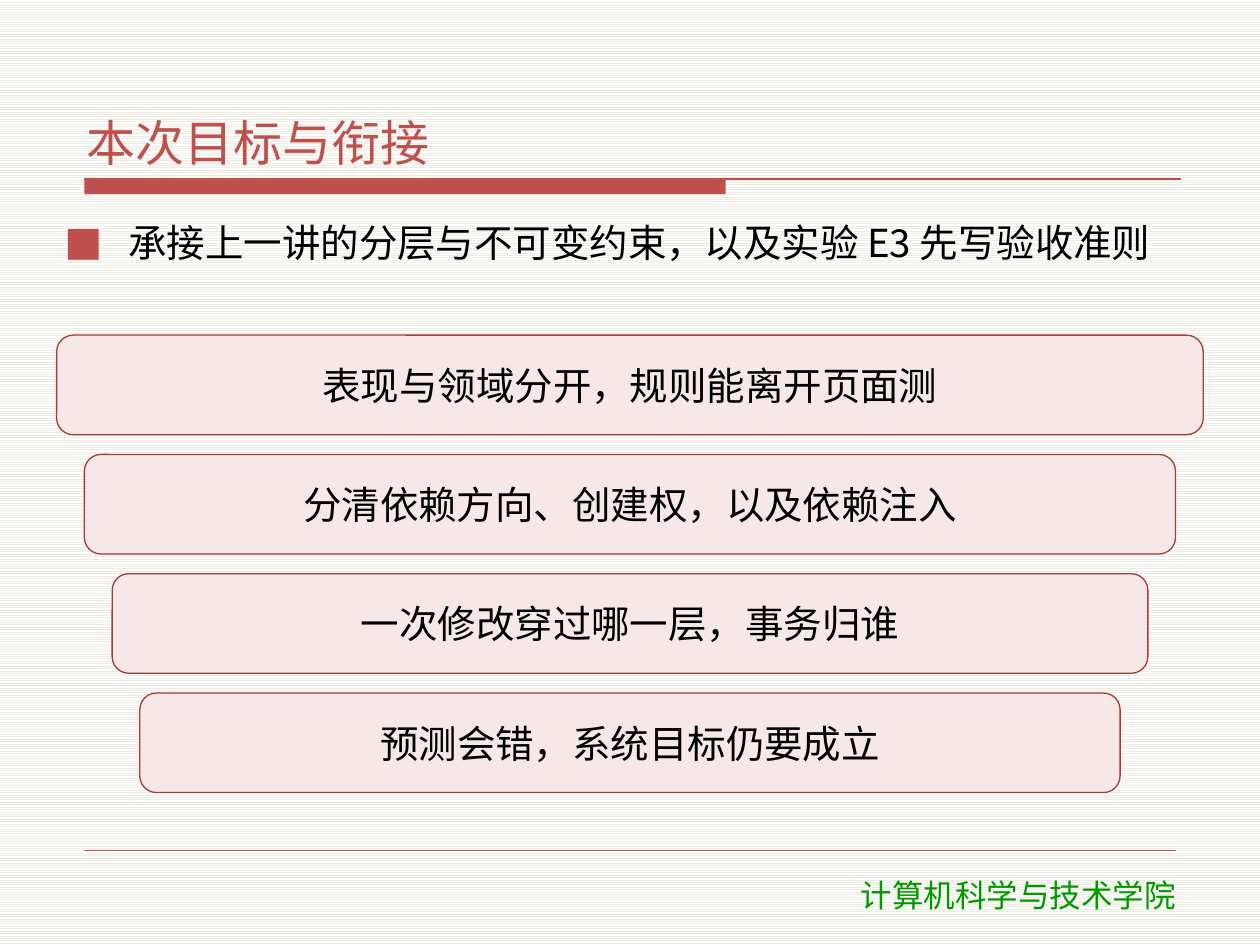
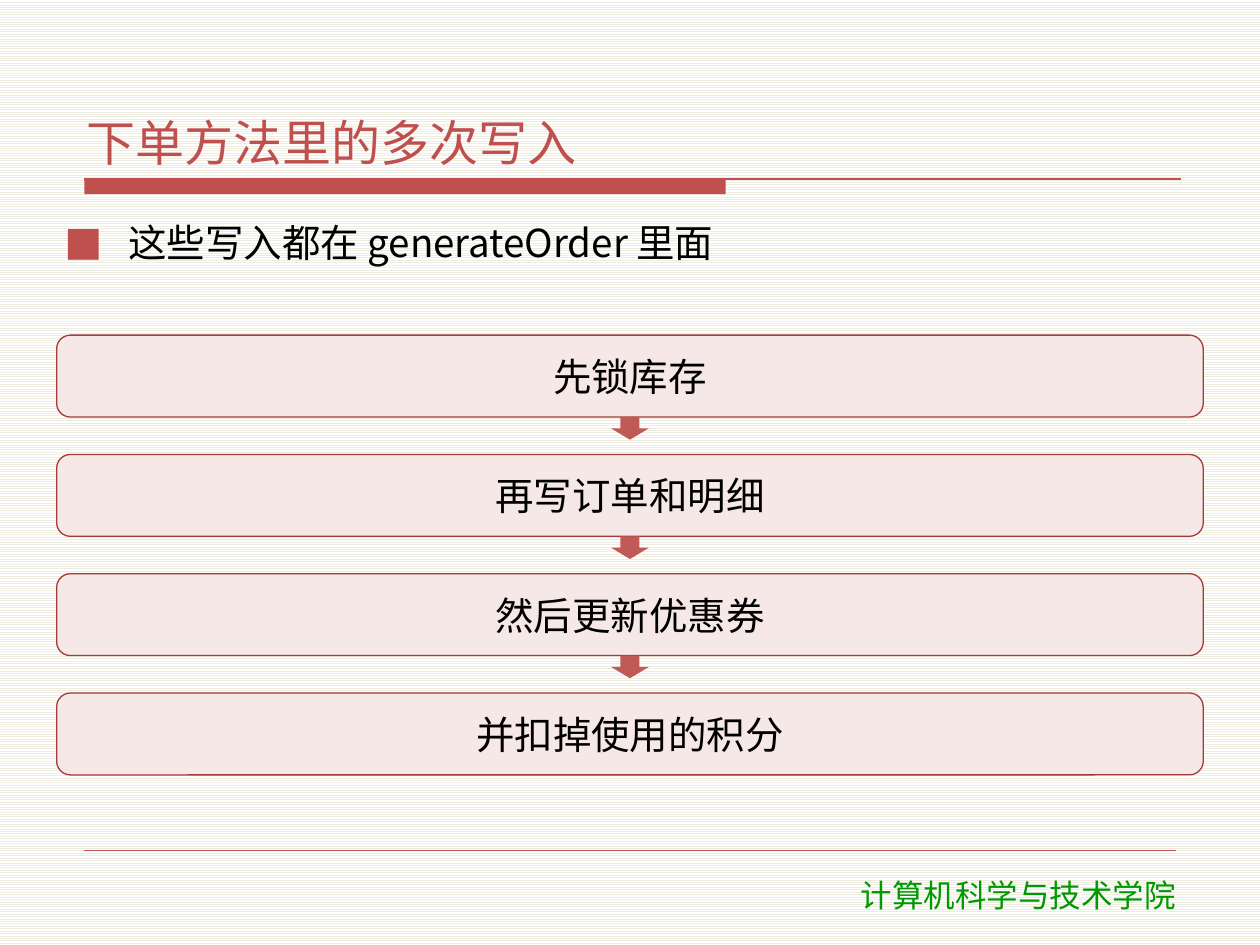
"""Build two lecture slides that share a title rule, a bullet, boxes and a footer."""
from lxml.etree import SubElement
from pptx import Presentation
from pptx.dml.color import RGBColor
from pptx.enum.dml import MSO_PATTERN
from pptx.enum.shapes import MSO_CONNECTOR, MSO_SHAPE
from pptx.enum.text import MSO_ANCHOR, MSO_AUTO_SIZE, PP_ALIGN
from pptx.oxml.ns import qn
from pptx.util import Inches, Pt

SLIDES = [
    {
        "title": "本次目标与衔接",
        "lead": "承接上一讲的分层与不可变约束，以及实验 E3 先写验收准则",
        "boxes": ["表现与领域分开，规则能离开页面测", "分清依赖方向、创建权，以及依赖注入",
                  "一次修改穿过哪一层，事务归谁", "预测会错，系统目标仍要成立"],
        "height": 0.79, "inset": 0.22, "arrows": False,
    },
    {
        "title": "下单方法里的多次写入",
        "lead": "这些写入都在 generateOrder 里面",
        "boxes": ["先锁库存", "再写订单和明细", "然后更新优惠券", "并扣掉使用的积分"],
        "height": 0.65, "inset": 0, "arrows": True,
    },
]
FOOTER = "计算机科学与技术学院"
COLORS = {"accent": "C0504D", "arrow": "C05A56", "box": "F6E8E6", "border": "A33B38",
          "text": "000000", "footer": "009900", "stripe": "EEECE1", "paper": "FFFFFF"}
FONT, FOOTER_FONT = "Noto Sans CJK SC", "DejaVu Sans"
LEFT, WIDTH = 0.45, 9.1
FIRST_TOP, LAST_TOP = 2.66, 5.5
ARROW_W, ARROW_H = 0.3, 0.18
INSETS = {"margin_left": Inches(0.06), "margin_right": Inches(0.06),
          "margin_top": Inches(0.02), "margin_bottom": Inches(0.02)}


def color(name):
    return RGBColor.from_string(COLORS[name])


def apply(target, values):
    for name, value in values.items():
        setattr(target, name, value)


def place(sp, left, top, width, height):
    apply(sp, {"left": Inches(left), "top": Inches(top),
               "width": Inches(width), "height": Inches(height)})


def write(sp, text, size, ink="text", font=FONT, align=PP_ALIGN.LEFT,
          anchor=MSO_ANCHOR.TOP, after=2, insets=INSETS):
    tf = sp.text_frame
    apply(tf, {"word_wrap": True, "auto_size": MSO_AUTO_SIZE.NONE,
               "vertical_anchor": anchor, **insets})
    p = tf.paragraphs[0]
    apply(p, {"alignment": align, "space_before": Pt(0), "space_after": Pt(after)})
    r = p.add_run()
    r.text = text
    apply(r.font, {"size": Pt(size), "name": font})
    r.font.color.rgb = color(ink)
    SubElement(r._r.get_or_add_rPr(), qn("a:ea"), typeface=font)
    return p


def add_bullet(p):
    pPr = p._p.get_or_add_pPr()
    pPr.set("marL", str(Inches(0.51)))
    pPr.set("indent", str(-Inches(0.51)))
    SubElement(SubElement(pPr, qn("a:buClr")), qn("a:srgbClr"), val=COLORS["accent"])
    SubElement(pPr, qn("a:buFont"), typeface=FONT)
    SubElement(pPr, qn("a:buChar"), char="■")


def add_block(s, shape, box, fill, border=None):
    sp = s.shapes.add_shape(shape, *map(Inches, box))
    sp.shadow.inherit = False
    sp.fill.solid()
    sp.fill.fore_color.rgb = color(fill)
    if border:
        sp.line.color.rgb = color(border)
        sp.line.width = Pt(0.75)
    else:
        sp.line.fill.background()
    return sp


def add_rule(s, x1, x2, y, width):
    line = s.shapes.add_connector(MSO_CONNECTOR.STRAIGHT, *map(Inches, (x1, y, x2, y)))
    line.line.color.rgb = color("accent")
    line.line.width = Pt(width)
    SubElement(line._element.spPr, qn("a:effectLst"))


def add_frame(s):
    add_block(s, MSO_SHAPE.RECTANGLE, (0.67, 1.42, 5.09, 0.12), "accent")
    add_rule(s, 0.67, 9.37, 1.42, 0.75)
    add_rule(s, 0.67, 9.33, 6.75, 0.25)
    footer = s.shapes.add_textbox(*map(Inches, (6.07, 6.9, 4.02, 0.4)))
    write(footer, FOOTER, 18, "footer", FOOTER_FONT, PP_ALIGN.CENTER, after=0, insets={})


def add_boxes(s, texts, height, inset, arrows):
    pitch = (LAST_TOP - FIRST_TOP) / (len(texts) - 1)
    for i, text in enumerate(texts):
        top = FIRST_TOP + i * pitch
        box = (LEFT + i * inset, top, WIDTH - 2 * i * inset, height)
        sp = add_block(s, MSO_SHAPE.ROUNDED_RECTANGLE, box, "box", "border")
        write(sp, text, 22, align=PP_ALIGN.CENTER, anchor=MSO_ANCHOR.MIDDLE)
        if arrows and i < len(texts) - 1:
            arrow = (LEFT + (WIDTH - ARROW_W) / 2, top + height, ARROW_W, ARROW_H)
            add_block(s, MSO_SHAPE.DOWN_ARROW, arrow, "arrow")


def build_slide(prs, data):
    s = prs.slides.add_slide(prs.slide_layouts[1])
    add_frame(s)
    title, body = s.shapes.title, s.placeholders[1]
    place(title, 0.63, 0.33, 8.75, 1.05)
    write(title, data["title"], 28, "accent", anchor=MSO_ANCHOR.BOTTOM)
    place(body, LEFT, 1.72, WIDTH, 0.86)
    add_bullet(write(body, data["lead"], 22))
    add_boxes(s, data["boxes"], data["height"], data["inset"], data["arrows"])


def main():
    prs = Presentation()
    apply(prs, {"slide_width": Inches(10), "slide_height": Inches(7.5)})
    fill = prs.slide_master.background.fill
    fill.patterned()
    fill.pattern = MSO_PATTERN.LIGHT_HORIZONTAL
    fill.fore_color.rgb = color("stripe")
    fill.back_color.rgb = color("paper")
    for data in SLIDES:
        build_slide(prs, data)
    prs.save("out.pptx")


if __name__ == "__main__":
    main()
